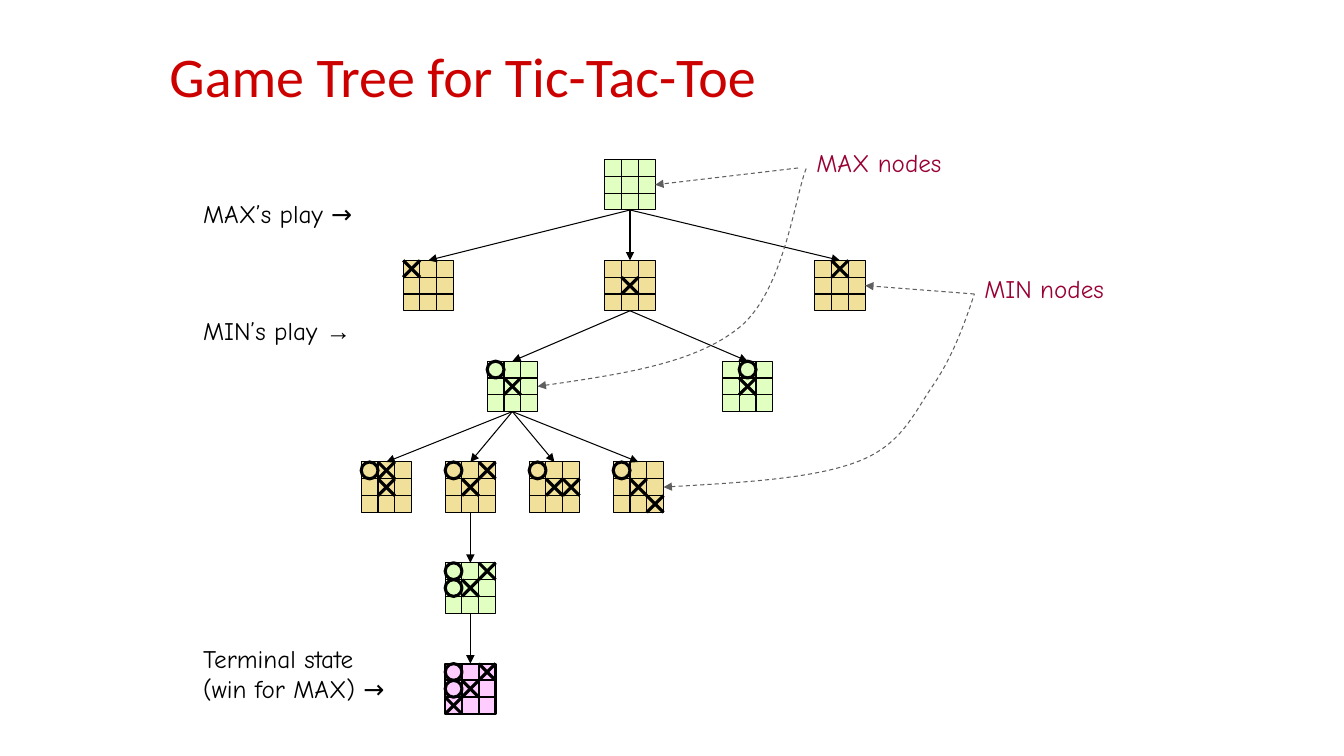
from lxml.etree import SubElement
from pptx import Presentation
from pptx.dml.color import RGBColor
from pptx.enum.dml import MSO_LINE
from pptx.enum.shapes import MSO_CONNECTOR, MSO_SHAPE
from pptx.enum.text import MSO_ANCHOR, MSO_AUTO_SIZE
from pptx.oxml.ns import qn
from pptx.util import Cm, Pt

COLORS = {
    "title": "CD0000", "ink": "000000", "note": "990033", "pointer": "5F5F5F",
    "max": "E0FFC1", "min": "F0E09A", "terminal": "FFCCFF",
}
GRID_CM = 2.54 / 12
CELL, SIDE, LEVEL_TOP, LEVEL_STEP = 2, 6, 19, 12

TITLE = ("Game Tree for Tic-Tac-Toe", 19, 2, 108, 15)
LEVELS = [
    ("max", 0.75, [(72, "... ... ...", None)]),
    ("min", 0.75, [(48, "X.. ... ...", 0), (72, "... .X. ...", 0), (97, ".X. ... ...", 0)]),
    ("max", 0.75, [(58, "O.. .X. ...", 1), (86, ".O. .X. ...", 1)]),
    ("min", 0.75, [(43, "OX. .X. ...", 0), (53, "O.X .X. ...", 0),
                   (63, "O.. .XX ...", 0), (73, "O.. .X. ..X", 0)]),
    ("max", 0.75, [(53, "O.X OX. ...", 1)]),
    ("terminal", 1.5, [(53, "O.X OX. X..", 0)]),
]
LABELS = [
    ([("MAX’s play →", "Comic Neue")], 23, 23, 21.7, 4.8, "ink"),
    ([("MIN’s play ", "Comic Neue"), ("→", "Arial")], 23, 37, 21.4, 4.8, "ink"),
    ([("Terminal state\n(win for MAX) →", "Comic Neue")], 23, 76, 26.3, 8.4, "ink"),
    ([("MIN nodes", "Comic Neue")], 116, 32, 18, 4.8, "note"),
    ([("MAX nodes", "Comic Neue")], 96, 17, 18.4, 4.8, "note"),
]
POINTERS = [((116, 35), (103, 34)), ((95, 20), (78, 22))]
CURVES = [
    [(79, 58), (87.84, 57.48), (96.72, 57), (102, 55), (107.28, 53.04), (108.72, 49.32),
     (111, 46), (113.28, 42.72), (114.72, 38.88), (116, 35)],
    [(64, 46), (73.32, 44.64), (82.68, 43.32), (88, 39), (93.36, 34.68), (94.68, 23.16), (96, 20)],
]


def grid(*values):
    return [Cm(value * GRID_CM) for value in values]


def rgb(name):
    return RGBColor.from_string(COLORS[name])


def style_line(line, color, width, dashed=False, arrow=None):
    line.color.rgb = rgb(color)
    line.width = Pt(width)
    if dashed:
        line.dash_style = MSO_LINE.DASH
    if arrow:
        SubElement(line._get_or_add_ln(), qn(f"a:{arrow}"), type="triangle")


def add_line(shapes, start, end, color="ink", width=0.75, dashed=False, arrow=None):
    line = shapes.add_connector(MSO_CONNECTOR.STRAIGHT, *grid(*start, *end))
    style_line(line.line, color, width, dashed, arrow)
    SubElement(line._element.spPr, qn("a:effectLst"))


def add_filled(shapes, kind, left, top, size, fill, width):
    shape = shapes.add_shape(kind, *grid(left, top, size, size))
    shape.shadow.inherit = False
    shape.fill.solid()
    shape.fill.fore_color.rgb = rgb(fill)
    style_line(shape.line, "ink", width)


def add_board(slide, left, top, marks, player, width):
    shapes = slide.shapes.add_group_shape().shapes
    add_filled(shapes, MSO_SHAPE.RECTANGLE, left, top, SIDE, player, width)
    for offset in (CELL, 2 * CELL):
        add_line(shapes, (left, top + offset), (left + SIDE, top + offset), width=width)
        add_line(shapes, (left + offset, top), (left + offset, top + SIDE), width=width)
    for row, cells in enumerate(marks.split()):
        for column, mark in enumerate(cells):
            x, y = left + column * CELL, top + row * CELL
            if mark == "O":
                add_filled(shapes, MSO_SHAPE.OVAL, x, y, CELL, player, 2.25)
            elif mark == "X":
                add_line(shapes, (x, y), (x + CELL, y + CELL), width=2.25)
                add_line(shapes, (x, y + CELL), (x + CELL, y), width=2.25)


def add_curve(slide, points):
    start, *controls = [tuple(grid(*point)) for point in points]
    builder = slide.shapes.build_freeform(*start)
    builder.add_line_segments(controls, close=False)
    curve = builder.convert_to_shape()
    curve.shadow.inherit = False
    curve.fill.background()
    style_line(curve.line, "pointer", 0.75, True, "headEnd")
    outline = next(curve._element.iter(qn("a:path")))
    segments = outline.findall(qn("a:lnTo"))
    for first in range(0, len(segments), 3):
        bezier = SubElement(outline, qn("a:cubicBezTo"))
        for segment in segments[first:first + 3]:
            bezier.append(segment[0])
            outline.remove(segment)


def add_text(slide, runs, left, top, width, height, color, size):
    frame = slide.shapes.add_textbox(*grid(left, top, width, height)).text_frame
    paragraph = frame.paragraphs[0]
    paragraph.font.size = Pt(size)
    paragraph.font.color.rgb = rgb(color)
    paragraph.font.name = runs[0][1]
    for words, font in runs:
        for number, text in enumerate(words.split("\n")):
            if number:
                paragraph.add_line_break()
            run = paragraph.add_run()
            run.text = text
            if font != runs[0][1]:
                run.font.name = font
    return frame


def main():
    deck = Presentation()
    deck.slide_width, deck.slide_height = grid(160, 90)
    slide = deck.slides.add_slide(deck.slide_layouts[6])

    words, *place = TITLE
    title = add_text(slide, [(words, "Calibri")], *place, "title", 40)
    title.word_wrap = True
    title.vertical_anchor = MSO_ANCHOR.MIDDLE
    title.paragraphs[0].line_spacing = 0.9

    parents = []
    for level, (player, width, boards) in enumerate(LEVELS):
        top = LEVEL_TOP + level * LEVEL_STEP
        for left, marks, parent in boards:
            add_board(slide, left, top, marks, player, width)
            if parent is not None:
                start = (parents[parent] + SIDE / 2, top - LEVEL_STEP + SIDE)
                add_line(slide.shapes, start, (left + SIDE / 2, top), arrow="tailEnd")
        parents = [board[0] for board in boards]

    for runs, *place, color in LABELS:
        label = add_text(slide, runs, *place, color, 18)
        label.word_wrap = False
        label.auto_size = MSO_AUTO_SIZE.SHAPE_TO_FIT_TEXT
    for start, end in POINTERS:
        add_line(slide.shapes, start, end, "pointer", dashed=True, arrow="tailEnd")
    for points in CURVES:
        add_curve(slide, points)

    deck.save("out.pptx")


if __name__ == "__main__":
    main()
